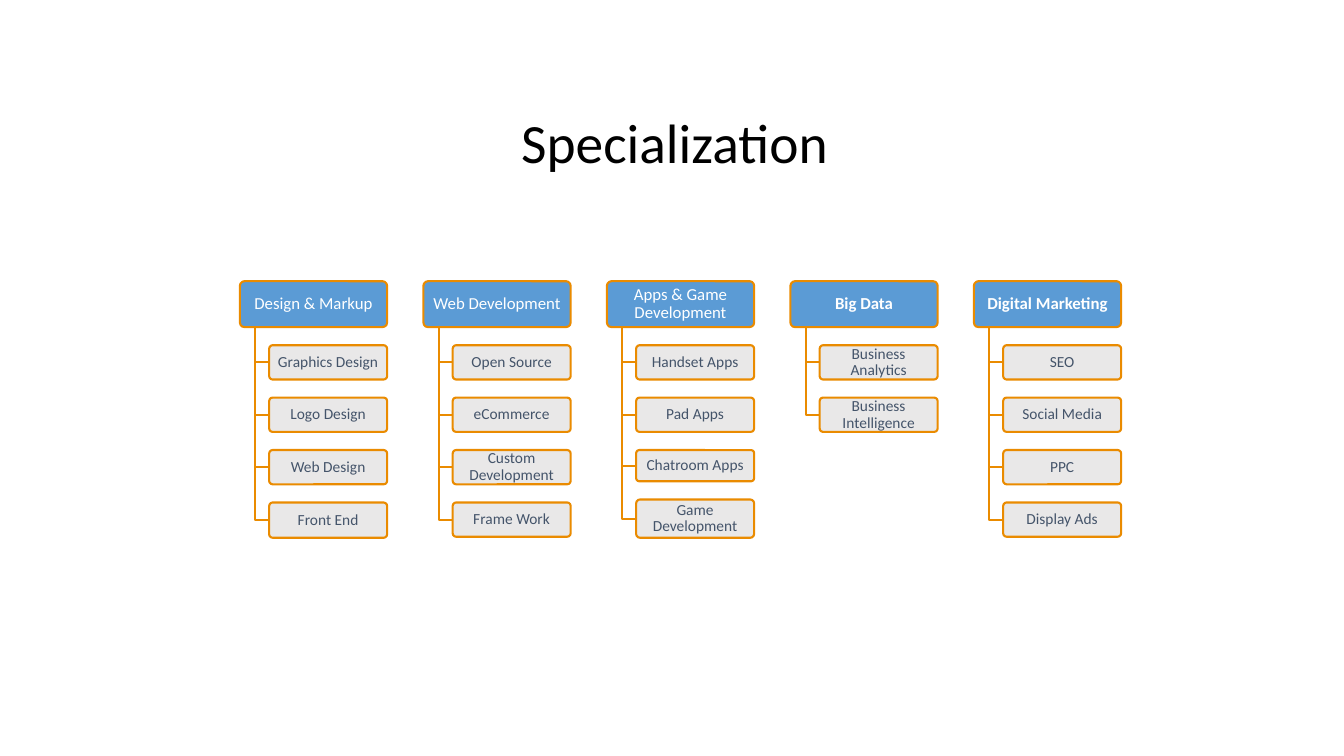
from dataclasses import dataclass

from pptx import Presentation
from pptx.dml.color import RGBColor
from pptx.enum.shapes import MSO_SHAPE
from pptx.enum.text import MSO_ANCHOR, PP_ALIGN
from pptx.oxml.ns import qn
from pptx.shapes.base import BaseShape
from pptx.slide import Slide
from pptx.text.text import TextFrame
from pptx.util import Inches, Pt
from lxml.etree import SubElement


@dataclass(frozen=True)
class Theme:
    """Colours and type sizes."""
    font: str = "Calibri"
    title: str = "000000"
    head_fill: str = "5B9BD5"
    head_text: str = "FFFFFF"
    leaf_fill: str = "E7E6E6"
    leaf_text: str = "44546A"
    line: str = "EA8B00"
    line_pt: float = 1.5
    leaf_alpha: int = 90
    title_pt: float = 39.6
    head_pt: float = 12
    leaf_pt: float = 11


@dataclass(frozen=True)
class Grid:
    """Tree layout in inches: column pitch, box sizes and the gap between rows."""
    left: float = 2.38
    top: float = 2.79
    pitch: float = 1.82
    head_w: float = 1.46
    head_h: float = 0.455
    trunk: float = 0.15
    indent: float = 0.29
    gap: float = 0.18


@dataclass(frozen=True)
class Leaf:
    """One skill under a branch."""
    text: str
    height: float = 0.34


@dataclass(frozen=True)
class Branch:
    """One specialization with its skills."""
    text: str
    leaves: tuple[Leaf, ...]
    bold: bool = False


THEME = Theme()
GRID = Grid()
BRANCHES = (
    Branch("Design & Markup", (Leaf("Graphics Design"), Leaf("Logo Design"),
                               Leaf("Web Design"), Leaf("Front End", 0.35))),
    Branch("Web Development", (Leaf("Open Source"), Leaf("eCommerce"),
                               Leaf("Custom Development"), Leaf("Frame Work"))),
    Branch("Apps & Game Development", (Leaf("Handset Apps"), Leaf("Pad Apps"),
                                       Leaf("Chatroom Apps", 0.31),
                                       Leaf("Game Development", 0.38))),
    Branch("Big Data", (Leaf("Business Analytics"), Leaf("Business Intelligence")), True),
    Branch("Digital Marketing", (Leaf("SEO"), Leaf("Social Media"),
                                 Leaf("PPC"), Leaf("Display Ads")), True),
)


def write(tf: TextFrame, text: str, size: float, color: str, spacing: float,
          inset: float, bold: bool = False) -> None:
    """Fill a text frame with one centred paragraph."""
    tf.text = text
    tf.word_wrap = True
    tf.vertical_anchor = MSO_ANCHOR.MIDDLE
    tf.margin_left = tf.margin_right = Inches(inset)
    tf.margin_top = tf.margin_bottom = Inches(0.02)
    p = tf.paragraphs[0]
    p.alignment = PP_ALIGN.CENTER
    p.line_spacing = spacing
    font = p.runs[0].font
    font.name, font.size, font.bold = THEME.font, Pt(size), bold
    font.color.rgb = RGBColor.from_string(color)


def outline(sp: BaseShape) -> None:
    """Give a shape the tree's line and no shadow."""
    sp.shadow.inherit = False
    sp.line.color.rgb = RGBColor.from_string(THEME.line)
    sp.line.width = Pt(THEME.line_pt)


def add_box(s: Slide, x: float, y: float, w: float, h: float, fill: str) -> BaseShape:
    """Add a rounded box."""
    sp = s.shapes.add_shape(MSO_SHAPE.ROUNDED_RECTANGLE,
                            Inches(x), Inches(y), Inches(w), Inches(h))
    sp.adjustments[0] = 0.1
    sp.fill.solid()
    sp.fill.fore_color.rgb = RGBColor.from_string(fill)
    outline(sp)
    return sp


def add_elbow(s: Slide, x: float, top: float, end_x: float, end_y: float) -> None:
    """Draw a line down the trunk and across to a leaf."""
    builder = s.shapes.build_freeform(Inches(x), Inches(top))
    builder.add_line_segments([(Inches(x), Inches(end_y)),
                               (Inches(end_x), Inches(end_y))], close=False)
    sp = builder.convert_to_shape()
    sp.fill.background()
    outline(sp)


def add_leaf(s: Slide, leaf: Leaf, x: float, y: float) -> None:
    """Add one translucent skill box."""
    sp = add_box(s, x, y, GRID.head_w - GRID.indent, leaf.height, THEME.leaf_fill)
    color = sp.fill._xPr.find(qn("a:solidFill"))[0]
    SubElement(color, qn("a:alpha")).set("val", str(THEME.leaf_alpha * 1000))
    write(sp.text_frame, leaf.text, THEME.leaf_pt, THEME.leaf_text, 0.9, 0.03)


def add_branch(s: Slide, branch: Branch, column: int) -> None:
    """Add a heading and stack its skills below it."""
    x = GRID.left + column * GRID.pitch
    sp = add_box(s, x, GRID.top, GRID.head_w, GRID.head_h, THEME.head_fill)
    write(sp.text_frame, branch.text, THEME.head_pt, THEME.head_text, 0.9, 0.04, branch.bold)
    bottom = GRID.top + GRID.head_h
    y = bottom + GRID.gap
    for leaf in branch.leaves:
        add_elbow(s, x + GRID.trunk, bottom, x + GRID.indent, y + leaf.height / 2)
        add_leaf(s, leaf, x + GRID.indent, y)
        y += leaf.height + GRID.gap


def main() -> None:
    """Build the slide."""
    prs = Presentation()
    prs.slide_width, prs.slide_height = Inches(13.33), Inches(7.5)
    s = prs.slides.add_slide(prs.slide_layouts[6])
    title = s.shapes.add_textbox(Inches(1.79), Inches(1.13), Inches(9.8), Inches(0.65))
    write(title.text_frame, "Specialization", THEME.title_pt, THEME.title, 0.85, 0.1)
    for column, branch in enumerate(BRANCHES):
        add_branch(s, branch, column)
    prs.save("out.pptx")


main()
